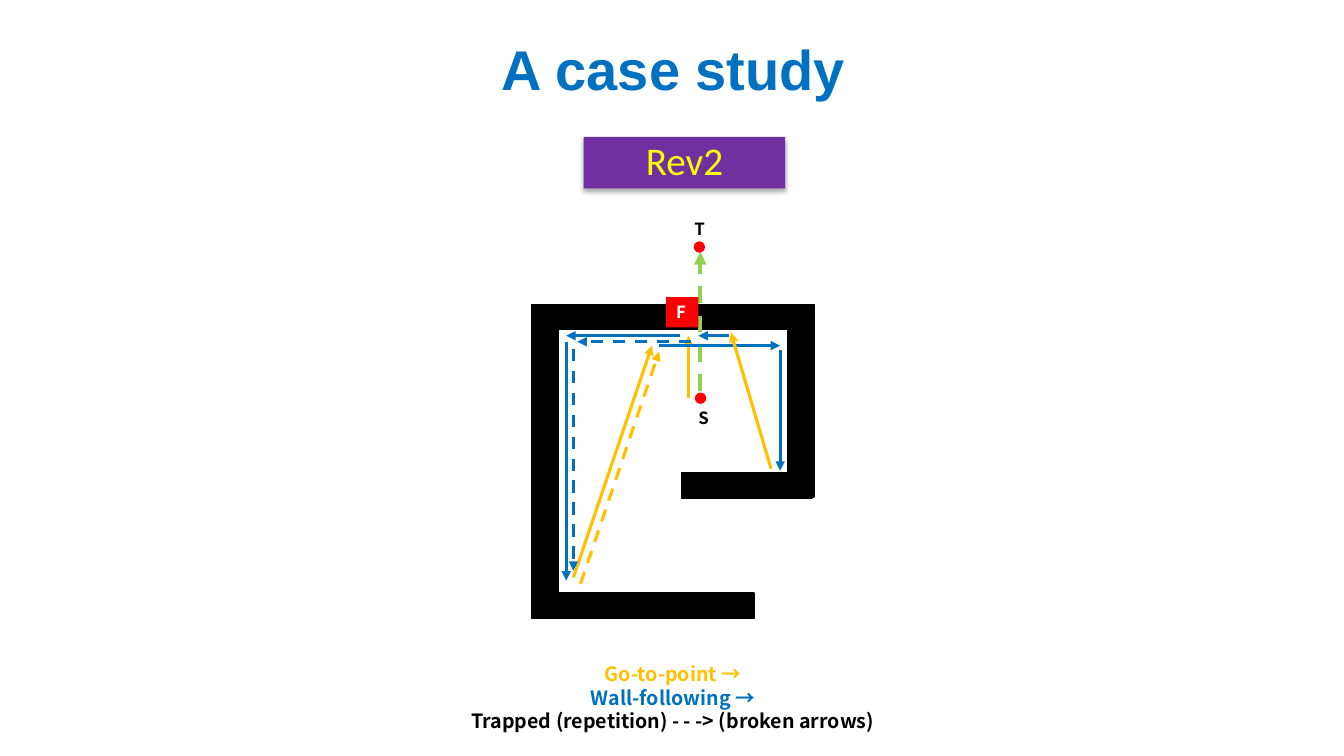
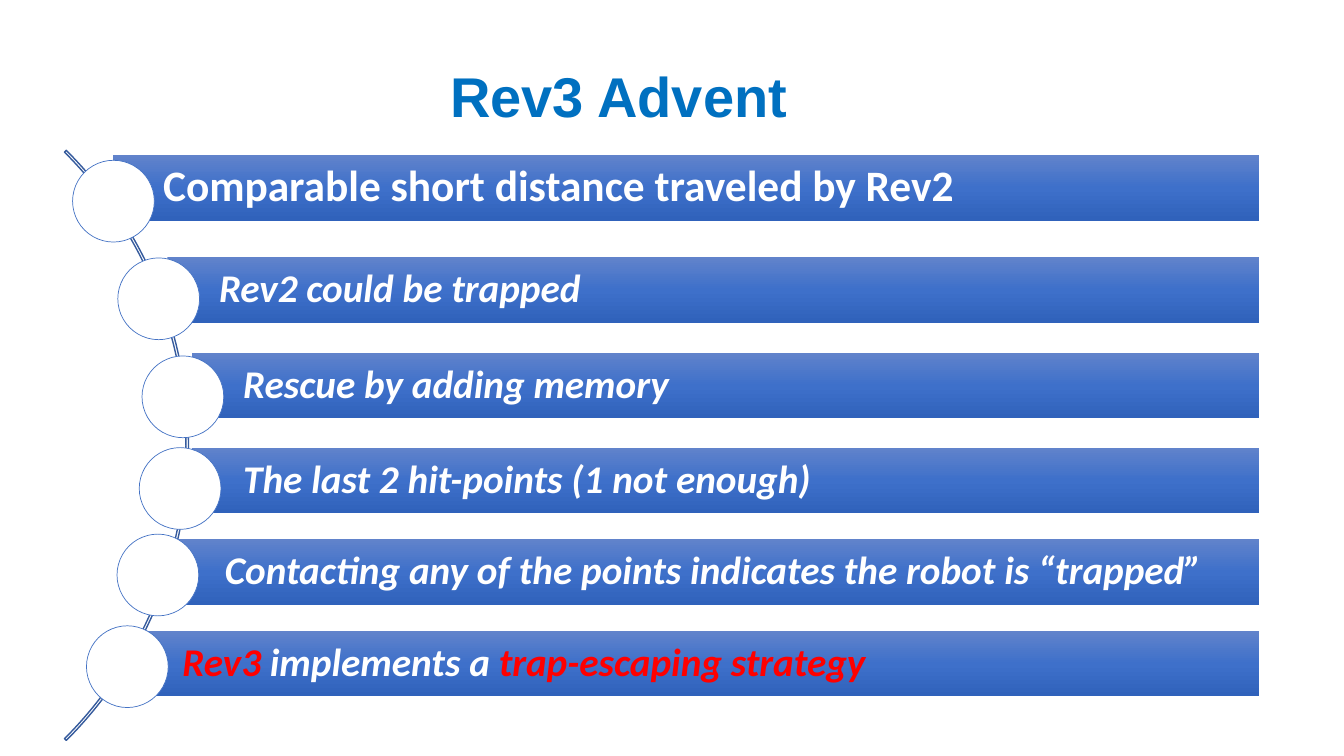
import copy

import lxml.etree
import pptx
import pptx.dml.color
import pptx.enum.dml
import pptx.enum.shapes
import pptx.enum.text
import pptx.oxml
import pptx.oxml.ns
import pptx.util

Cm = pptx.util.Cm
Pt = pptx.util.Pt
RGBColor = pptx.dml.color.RGBColor
SHAPE = pptx.enum.shapes.MSO_SHAPE
ANCHOR = pptx.enum.text.MSO_ANCHOR
ALIGN = pptx.enum.text.PP_ALIGN
DASH = pptx.enum.dml.MSO_LINE.DASH
qn = pptx.oxml.ns.qn

BLUE = RGBColor(0x00, 0x70, 0xC0)
AMBER = RGBColor(0xFF, 0xC0, 0x00)
GREEN = RGBColor(0x92, 0xD0, 0x50)
RED = RGBColor(0xFF, 0x00, 0x00)
YELLOW = RGBColor(0xFF, 0xFF, 0x00)
PURPLE = RGBColor(0x70, 0x30, 0xA0)
BLACK = RGBColor(0x00, 0x00, 0x00)
WHITE = RGBColor(0xFF, 0xFF, 0xFF)
ARC_BLUE = RGBColor(0x36, 0x5B, 0x9D)
RING_BLUE = RGBColor(0x44, 0x72, 0xC4)
BAR_BLUES = [RGBColor(0x61, 0x83, 0xCB), RGBColor(0x3E, 0x70, 0xCA), RGBColor(0x30, 0x62, 0xBB)]

TITLE_FONT = "Arial"
BODY_FONT = "Calibri"
LABEL_FONT = "Noto Sans CJK JP"


def add_box(slide, kind, place, fill=None, line=None, width=1):
    """Add a preset shape, without shadow; no kind gives a text box."""
    lengths = [Cm(length) for length in place]
    if kind is None:
        return slide.shapes.add_textbox(*lengths)
    box = slide.shapes.add_shape(kind, *lengths)
    box.shadow.inherit = False
    if fill is None:
        box.fill.background()
    else:
        box.fill.solid()
        box.fill.fore_color.rgb = fill
    if line is None:
        box.line.fill.background()
    else:
        box.line.color.rgb = line
        box.line.width = Pt(width)
    return box


def write(box, lines, font, size, spacing=0.9, align=ALIGN.CENTER, anchor=ANCHOR.TOP,
          bold=True, italic=False):
    """Write lines, each a list of (text, colour) runs."""
    frame = box.text_frame
    frame.word_wrap = True
    frame.vertical_anchor = anchor
    for index, runs in enumerate(lines):
        paragraph = frame.add_paragraph() if index else frame.paragraphs[0]
        paragraph.alignment = align
        paragraph.line_spacing = spacing
        paragraph.font.name = font
        paragraph.font.size = Pt(size)
        paragraph.font.bold = bold
        paragraph.font.italic = italic
        for text, colour in runs:
            run = paragraph.add_run()
            run.text = text
            run.font.color.rgb = colour


deck = pptx.Presentation()
deck.slide_width, deck.slide_height = Cm(33.87), Cm(19.05)

# Slides and their titles
slides = []
for heading, place in [
    ("A case study", (10.8, 0.13, 12.34, 2.59)),
    ("Rev3 Advent", (7.92, 1.27, 15.34, 2.13)),
]:
    slide = deck.slides.add_slide(deck.slide_layouts[6])
    write(add_box(slide, None, place), [[(heading, BLUE)]], TITLE_FONT, 40, anchor=ANCHOR.BOTTOM)
    slides.append(slide)
case_study, advent = slides

# Revision banner with a soft shadow
banner = add_box(case_study, SHAPE.RECTANGLE, (14.71, 3.45, 5.08, 1.3), PURPLE)
write(banner, [[("Rev2", YELLOW)]], BODY_FONT, 28, bold=False)
shadow = lxml.etree.SubElement(
    banner._element.spPr.find(qn("a:effectLst")), qn("a:outerShdw"),
    blurRad=str(Pt(3.5)), dist=str(Pt(2.2)), dir="5400000", rotWithShape="0")
shadow_colour = lxml.etree.SubElement(shadow, qn("a:srgbClr"), val="000000")
lxml.etree.SubElement(shadow_colour, qn("a:alpha"), val="32000")

# Legend
legend = add_box(case_study, SHAPE.RECTANGLE, (10.19, 16.56, 13.54, 2.06), WHITE)
write(legend, [
    [("Go-to-point →", AMBER)],
    [("Wall-following →", BLUE)],
    [("Trapped (repetition) - - -> (broken arrows)", BLACK)],
], LABEL_FONT, 14, spacing=Pt(16.8))

# Walls of the room
for wall in [
    (13.41, 7.67, 7.11, 0.64),
    (13.41, 7.67, 0.66, 7.87),
    (19.86, 7.7, 0.66, 4.83),
    (17.17, 11.91, 3.3, 0.64),
    (13.41, 14.94, 5.59, 0.64),
]:
    add_box(case_study, SHAPE.RECTANGLE, wall, BLACK, BLACK)

# Direct route from start to target, then the robot's path
for start, end, colour, width, broken in [
    ((17.65, 9.86), (17.65, 6.35), GREEN, 3, True),
    ((17.35, 10.03), (17.35, 8.46), AMBER, 2.25, False),
    ((17.15, 8.46), (14.27, 8.46), BLUE, 2.25, False),
    ((14.45, 14.55), (16.43, 8.71), AMBER, 2.25, False),
    ((14.63, 14.71), (16.61, 8.86), AMBER, 2.25, True),
    ((16.61, 8.71), (19.66, 8.71), BLUE, 2.25, False),
    ((19.66, 8.81), (19.66, 11.86), BLUE, 2.25, False),
    ((19.43, 11.81), (18.42, 8.38), AMBER, 2.25, False),
    ((18.36, 8.46), (17.6, 8.46), BLUE, 2.25, False),
    ((17.42, 8.61), (14.55, 8.61), BLUE, 2.25, True),
    ((14.45, 8.79), (14.45, 14.38), BLUE, 2.25, True),
    ((14.27, 8.61), (14.27, 14.63), BLUE, 2.25, False),
]:
    step = case_study.shapes.add_connector(
        pptx.enum.shapes.MSO_CONNECTOR.STRAIGHT, *[Cm(length) for length in start + end])
    step.line.color.rgb = colour
    step.line.width = Pt(width)
    if broken:
        step.line.dash_style = DASH
    outline = step._element.spPr.find(qn("a:ln"))
    lxml.etree.SubElement(outline, qn("a:tailEnd"), type="triangle")
    lxml.etree.SubElement(step._element.spPr, qn("a:effectLst"))

# Start and target points
for left, top in [(17.5, 6.1), (17.53, 9.91)]:
    add_box(case_study, SHAPE.OVAL, (left, top, 0.25, 0.25), RED, RED)

# Point labels
for letter, kind, place, fill, colour in [
    ("S", None, (17.35, 10.16, 1.22, 0.76), None, BLACK),
    ("T", None, (17.25, 5.38, 1.22, 0.76), None, BLACK),
    ("F", SHAPE.RECTANGLE, (16.79, 7.49, 0.81, 0.76), RED, WHITE),
]:
    write(add_box(case_study, kind, place, fill), [[(letter, colour)]],
          LABEL_FONT, 12, spacing=Pt(14.4), align=ALIGN.LEFT)

# Arc behind the list
arc = add_box(advent, SHAPE.BLOCK_ARC, (-16.28, 0.71, 21.03, 21.03), None, ARC_BLUE)
for index, value in enumerate([189, 27, 0.003]):
    arc.adjustments[index] = value

# List bars, each with a ring on the arc
BAR_RIGHT, BAR_HEIGHT, RING_SIZE = 31.74, 1.65, 2.06
for index, (left, top, ring_left, ring_top, runs) in enumerate([
    (2.84, 3.91, 1.83, 4.04, [("Comparable short distance traveled by Rev2", WHITE)]),
    (4.22, 6.48, 2.97, 6.5, [("Rev2 could be trapped", WHITE)]),
    (4.83, 8.89, 3.58, 8.97, [("Rescue by adding memory", WHITE)]),
    (4.83, 11.28, 3.51, 11.28, [("The last 2 hit-points (1 not enough)", WHITE)]),
    (4.37, 13.59, 2.95, 13.46,
     [("Contacting any of the points indicates the robot is “trapped”", WHITE)]),
    (3.3, 15.9, 2.18, 15.77,
     [("Rev3", RED), (" implements a ", WHITE), ("trap-escaping strategy", RED)]),
]):
    lead = index == 0
    bar = add_box(advent, SHAPE.RECTANGLE, (left, top, BAR_RIGHT - left, BAR_HEIGHT))
    bar.fill.gradient()
    bar.fill.gradient_angle = 270
    stop_list = bar._element.spPr.find(qn("a:gradFill")).find(qn("a:gsLst"))
    stop_list.insert(1, copy.deepcopy(stop_list[0]))
    for stop, colour, position in zip(bar.fill.gradient_stops, BAR_BLUES, (0, 0.5, 1)):
        stop.color.rgb = colour
        stop.position = position
    frame = bar.text_frame
    frame.margin_left = Cm(1.27 if lead else 1.3)
    frame.margin_top = frame.margin_right = frame.margin_bottom = Cm(0.1 if lead else 0.2)
    write(bar, [runs], BODY_FONT, 31 if lead else 28, align=ALIGN.LEFT,
          anchor=ANCHOR.MIDDLE, italic=not lead)
    add_box(advent, SHAPE.OVAL, (ring_left, ring_top, RING_SIZE, RING_SIZE),
            WHITE, RING_BLUE, 0.5)

deck.save("out.pptx")
